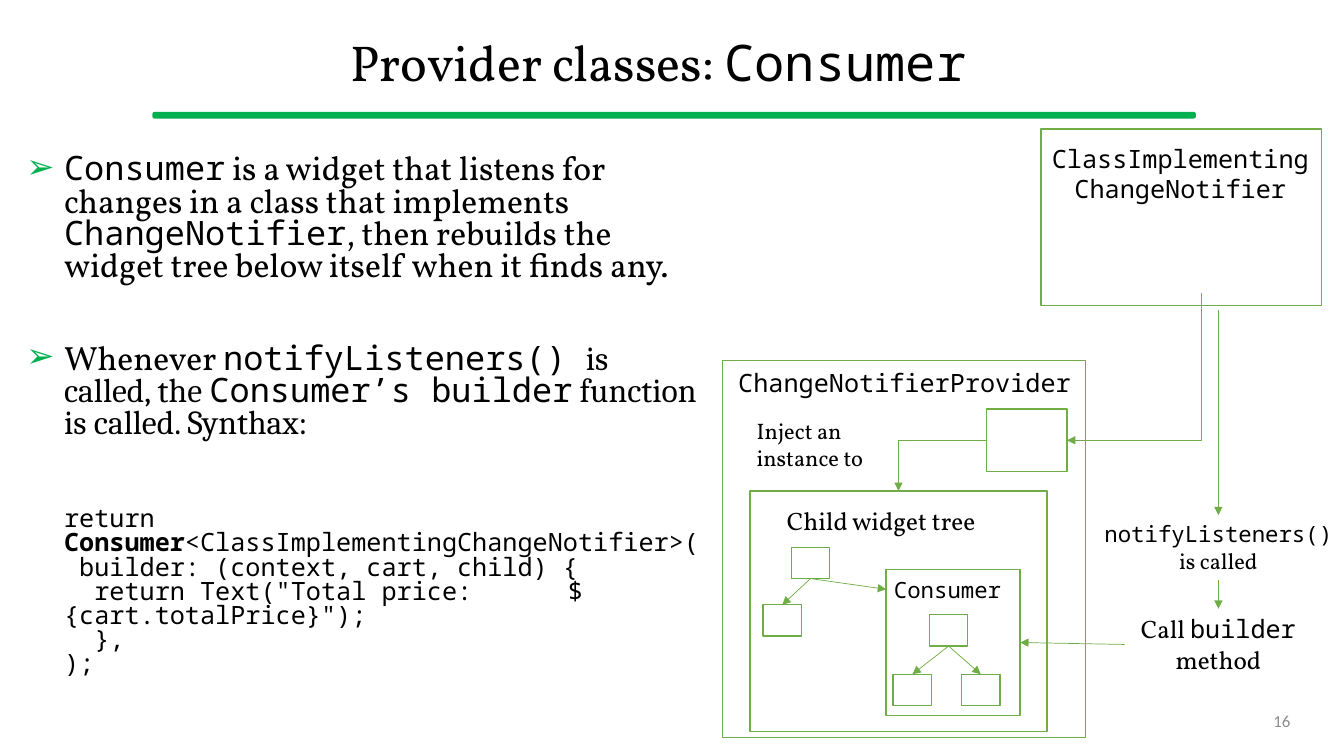
from lxml import etree
from pptx import Presentation
from pptx.dml.color import RGBColor
from pptx.enum.shapes import MSO_CONNECTOR, MSO_SHAPE
from pptx.enum.text import MSO_ANCHOR, MSO_AUTO_SIZE, PP_ALIGN
from pptx.oxml.ns import qn
from pptx.util import Cm, Pt

RECT, ROUND = MSO_SHAPE.RECTANGLE, MSO_SHAPE.ROUNDED_RECTANGLE
STRAIGHT, ELBOW = MSO_CONNECTOR.STRAIGHT, MSO_CONNECTOR.ELBOW
LEFT, CENTER, RIGHT = PP_ALIGN.LEFT, PP_ALIGN.CENTER, PP_ALIGN.RIGHT
MIDDLE, TOP, NO_FIT = MSO_ANCHOR.MIDDLE, MSO_ANCHOR.TOP, MSO_AUTO_SIZE.NONE
COLORS = {"text": "000000", "accent": "00B050", "line": "70AD47", "number": "8C8C8C"}
MONO, SERIF, CAMBRIA, SANS = "Noto Sans Mono", "Vollkorn", "Cambria", "Calibri"


def rgb(name):
    return RGBColor.from_string(COLORS[name])


def set_all(target, values):
    for name, value in values.items():
        setattr(target, name, value)


def place(sp, box):
    set_all(sp, dict(zip(("left", "top", "width", "height"), map(Cm, box))))


def inside(box, x, y, w, h):
    return box[0] + x, box[1] + y, w, h


def add_runs(p, runs, size, color="text"):
    for text, font, *bold in runs:
        r = p.add_run()
        r.text = text
        set_all(r.font, {"name": font, "size": Pt(size), "bold": bool(bold)})
        r.font.color.rgb = rgb(color)


def add_label(s, box, runs, size=18, align=CENTER, color="text", anchor=TOP):
    tf = s.shapes.add_textbox(*map(Cm, box)).text_frame
    set_all(tf, {"word_wrap": True, "vertical_anchor": anchor})
    p = tf.paragraphs[0]
    p.alignment = align
    add_runs(p, runs, size, color)


def add_box(s, box):
    sp = s.shapes.add_shape(RECT, *map(Cm, box))
    sp.shadow.inherit = False
    sp.fill.background()
    sp.line.color.rgb = rgb("line")
    sp.line.width = Pt(1)
    return box


def add_arrow(s, start, end, kind=STRAIGHT, arrow_at="tailEnd"):
    c = s.shapes.add_connector(kind, *map(Cm, start + end))
    c.line.color.rgb = rgb("line")
    c.line.width = Pt(0.5)
    spPr = c._element.spPr
    if kind == ELBOW:  # one bend: across first, then up or down
        spPr.find(qn("a:prstGeom")).set("prst", "bentConnector2")
    etree.SubElement(spPr.find(qn("a:ln")), qn("a:" + arrow_at), type="triangle")
    etree.SubElement(spPr, qn("a:effectLst"))


def top_mid(box):
    return box[0] + box[2] / 2, box[1]


def bottom_mid(box):
    return box[0] + box[2] / 2, box[1] + box[3]


def left_mid(box):
    return box[0], box[1] + box[3] / 2


def right_mid(box):
    return box[0] + box[2], box[1] + box[3] / 2


def add_title(s, box):
    title = s.shapes.title
    place(title, box)
    tf = title.text_frame
    set_all(tf, {"word_wrap": True, "vertical_anchor": MIDDLE, "auto_size": NO_FIT})
    p = tf.paragraphs[0]
    set_all(p, {"alignment": CENTER, "line_spacing": 0.9})
    add_runs(p, [("Provider classes: ", SERIF), ("Consumer ", MONO)], 36)
    # Rule under the title
    rule = s.shapes.add_shape(ROUND, *map(Cm, inside(box, 2.67, 2.38, 26.26, 0.13)))
    rule.adjustments[0] = 0.26
    rule.shadow.inherit = False
    rule.fill.solid()
    rule.fill.fore_color.rgb = rule.line.color.rgb = rgb("accent")
    rule.line.width = Pt(1)


def add_body(s, box):
    body = s.placeholders[1]
    place(body, box)
    tf = body.text_frame
    set_all(tf, {"word_wrap": True, "vertical_anchor": TOP, "auto_size": NO_FIT})
    # (bulleted, space before, size, runs)
    paragraphs = [
        (True, 0, 24, [
            ("Consumer", MONO),
            (" is a widget that listens for changes in a class that implements ", SERIF),
            ("ChangeNotifier", MONO),
            (", then rebuilds the widget tree below itself when it finds any.", SERIF)]),
        (True, 43, 24, [
            ("Whenever ", SERIF), ("notifyListeners() ", MONO), ("is called, the ", CAMBRIA),
            ("Consumer’s builder", MONO), (" function is called. Synthax:", CAMBRIA)]),
        (False, 48, 18, [
            ("return ", MONO), ("Consumer", MONO, True),
            ("<ClassImplementingChangeNotifier>(", MONO)]),
    ]
    code = (" builder: (context, cart, child) {",
            '  return Text("Total price:  \t\t${cart.totalPrice}");', "  },", ");")
    paragraphs += [(False, 0, 18, [(line, MONO)]) for line in code]
    for i, (bulleted, before, size, runs) in enumerate(paragraphs):
        p = tf.add_paragraph() if i else tf.paragraphs[0]
        pPr = p._p.get_or_add_pPr()
        pPr.set("marL", str(Cm(0.95)))
        pPr.set("indent", str(-Cm(0.95) if bulleted else 0))
        if bulleted:
            color = etree.SubElement(pPr, qn("a:buClr"))
            etree.SubElement(color, qn("a:srgbClr"), val=COLORS["accent"])
            etree.SubElement(pPr, qn("a:buChar"), char="➢")
        else:
            etree.SubElement(pPr, qn("a:buNone"))
            tabs = etree.SubElement(pPr, qn("a:tabLst"))
            for stop in (11.94, 14.28):
                etree.SubElement(tabs, qn("a:tab"), pos=str(Cm(stop)), algn="l")
        set_all(p, {"alignment": LEFT, "line_spacing": 0.8,
                    "space_before": Pt(before), "space_after": Pt(0)})
        add_runs(p, runs, size)


def add_tree(s, box, positions):
    """Draws a root and its leaves, and returns the root."""
    root, *leaves = [add_box(s, inside(box, x, y, 0.97, 0.79)) for x, y in positions]
    for leaf in leaves:
        add_arrow(s, bottom_mid(root), top_mid(leaf))
    return root


def add_consumer(s, box):
    add_box(s, box)
    add_label(s, inside(box, -0.05, 0.05, 3.25, 0.94), [("Consumer", MONO)], 16, LEFT)
    add_tree(s, box, [(1.09, 1.14), (0.18, 2.64), (1.9, 2.64)])


def add_child_tree(s, box):
    """Returns the consumer box, which the builder call points at."""
    add_box(s, box)
    add_label(s, inside(box, 0.64, 0.23, 5.46, 1.02), [("Child widget tree ", SERIF)])
    root = add_tree(s, box, [(1.04, 1.42), (0.33, 2.87)])
    consumer = inside(box, 3.43, 1.98, 3.38, 3.68)
    add_consumer(s, consumer)
    add_arrow(s, bottom_mid(root), (consumer[0], consumer[1] + 0.5))
    return consumer


def add_provider(s, box):
    """Returns the instance box and the consumer box."""
    add_box(s, box)
    add_label(s, inside(box, -0.18, 0.05, 9.53, 1.02), [("ChangeNotifierProvider", MONO)])
    add_label(s, inside(box, 0.61, 1.3, 3.76, 1.63), [("Inject an instance to", SERIF)], 16, LEFT)
    instance = add_box(s, inside(box, 6.65, 1.22, 2.03, 1.57))
    tree = inside(box, 0.69, 3.28, 7.49, 6.07)
    consumer = add_child_tree(s, tree)
    add_arrow(s, left_mid(instance), top_mid(tree), ELBOW)
    return instance, consumer


def add_notifier(s, box, instance, consumer):
    add_box(s, box)
    add_label(s, inside(box, -0.05, 0.23, 7.11, 1.8), [("ClassImplementingChangeNotifier", MONO)])
    add_arrow(s, right_mid(instance), (box[0] + 4.04, box[1] + 4.14), ELBOW, "headEnd")
    # Calls that follow a change
    notify = inside(box, 1.29, 9.73, 6.35, 1.63)
    call = inside(box, 2.1, 12.09, 4.73, 1.8)
    add_label(s, notify, [("notifyListeners() ", MONO), ("is called", SERIF)], 16)
    add_label(s, call, [("Call ", SERIF), ("builder ", MONO), ("method", SERIF)])
    add_arrow(s, (top_mid(notify)[0], box[1] + 4.57), top_mid(notify))
    add_arrow(s, bottom_mid(notify), top_mid(call))
    add_arrow(s, left_mid(call), right_mid(consumer))


def main():
    prs = Presentation()
    prs.slide_width, prs.slide_height = Cm(33.87), Cm(19.05)
    s = prs.slides.add_slide(prs.slide_layouts[1])
    add_title(s, (1.19, 0.46, 31.57, 2.39))
    add_body(s, (0.41, 3.78, 17.53, 14.33))
    instance, consumer = add_provider(s, (18.21, 9.09, 9.14, 9.5))
    add_notifier(s, (26.24, 3.25, 7.06, 4.45), instance, consumer)
    add_label(s, (23.93, 17.65, 8.84, 1.02), [("16", SANS)], 12, RIGHT, "number", MIDDLE)
    prs.save("out.pptx")


if __name__ == "__main__":
    main()
